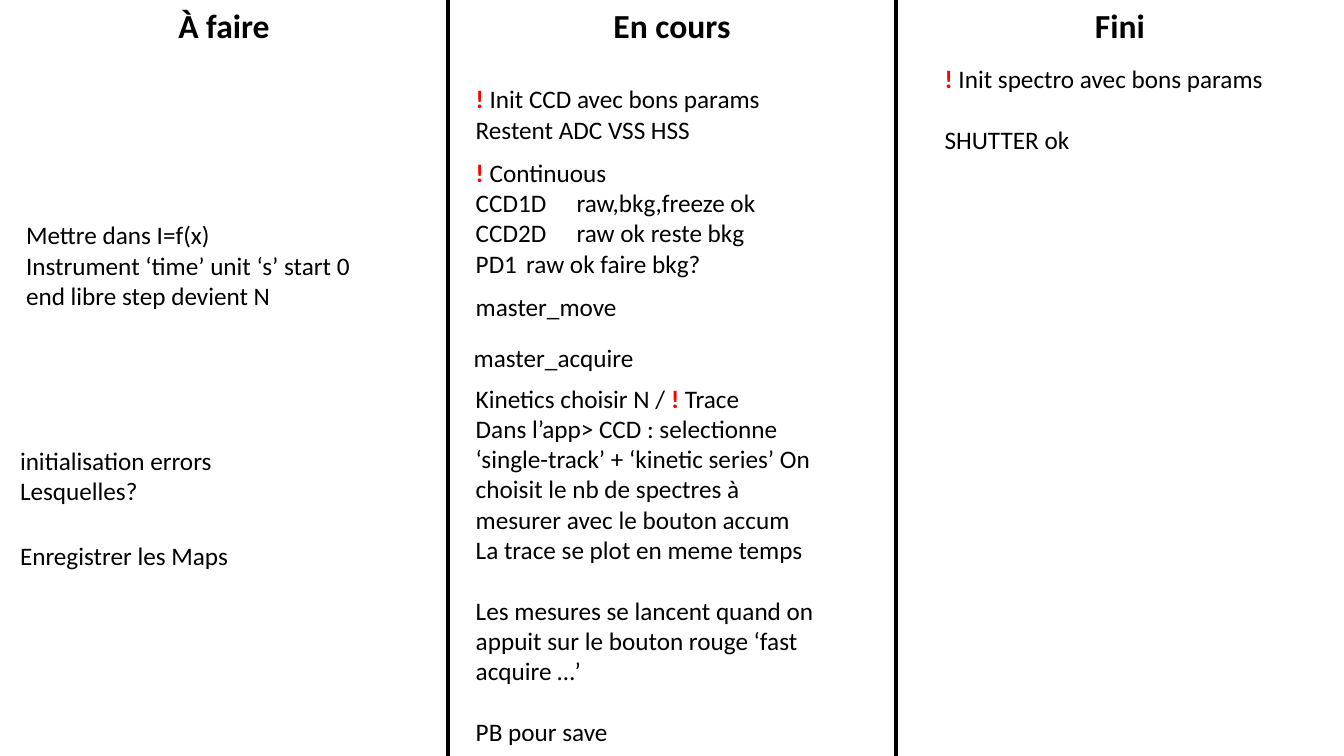
from dataclasses import dataclass

from lxml import etree
from pptx import Presentation
from pptx.dml.color import RGBColor
from pptx.enum.shapes import MSO_CONNECTOR
from pptx.enum.text import MSO_AUTO_SIZE, PP_ALIGN
from pptx.oxml.ns import qn
from pptx.slide import Slide
from pptx.util import Inches, Pt

STRAIGHT = MSO_CONNECTOR.STRAIGHT
GROW = MSO_AUTO_SIZE.SHAPE_TO_FIT_TEXT
LEFT, CENTER = PP_ALIGN.LEFT, PP_ALIGN.CENTER


@dataclass(frozen=True)
class Theme:
    font: str = "Calibri"
    ink: RGBColor = RGBColor(0, 0, 0)
    alert: RGBColor = RGBColor(255, 0, 0)
    head: int = 24
    body: int = 18
    rule: int = 3
    gap: int = 22


@dataclass(frozen=True)
class Span:
    text: str
    bold: bool = False
    color: RGBColor = Theme.ink


@dataclass(frozen=True)
class Line:
    spans: tuple[Span, ...]
    gap: bool = False


@dataclass(frozen=True)
class Note:
    left: float
    top: float
    width: float
    height: float
    lines: tuple[Line, ...]
    size: int = Theme.body
    align: PP_ALIGN = LEFT


THEME = Theme()
WIDTH, HEIGHT = 13.33, 7.5
HEADS = ("À faire", "En cours", "Fini")
COLUMN = WIDTH / len(HEADS)
MARK = Span("!", True, THEME.alert)


def plain(text: str, gap: bool = False) -> Line:
    return Line((Span(text),), gap)


def urgent(text: str) -> Line:
    return Line((MARK, Span(" " + text)))


TODO = (
    Note(0.16, 2.13, 3.69, 1.01, (
        plain("Mettre dans I=f(x)"),
        plain("Instrument ‘time’ unit ‘s’ start 0 end libre step devient N"),
    )),
    Note(0.1, 4.37, 2.52, 0.71, (
        plain("initialisation errors"),
        plain("Lesquelles?"),
    )),
    Note(0.1, 5.31, 2.52, 0.4, (plain("Enregistrer les Maps"),)),
)

DOING = (
    Note(4.62, 0.78, 3.04, 0.71, (
        urgent("Init CCD avec bons params"),
        plain("Restent ADC VSS HSS"),
    )),
    Note(4.62, 1.51, 3.69, 1.31, (
        urgent("Continuous"),
        plain("CCD1D\traw,bkg,freeze ok"),
        plain("CCD2D\traw ok reste bkg"),
        plain("PD1\traw ok faire bkg?"),
    )),
    Note(4.62, 2.84, 3.69, 0.4, (plain("master_move"),)),
    Note(4.6, 3.35, 3.69, 0.4, (plain("master_acquire"),)),
    Note(4.62, 3.75, 3.69, 4.04, (
        Line((Span("Kinetics choisir N / "), MARK, Span(" Trace"))),
        plain("Dans l’app> CCD : selectionne ‘single-track’ + ‘kinetic series’ "
              "On choisit le nb de spectres à mesurer avec le bouton accum"),
        plain("La trace se plot en meme temps"),
        plain("Les mesures se lancent quand on appuit sur le bouton rouge "
              "‘fast acquire …’", gap=True),
        plain("PB pour save", gap=True),
    )),
)

DONE = (
    Note(9.27, 0.58, 3.69, 1.31, (
        urgent("Init spectro avec bons params"),
        plain("SHUTTER ok", gap=True),
    )),
)


def draw_rule(slide: Slide, left: float) -> None:
    rule = slide.shapes.add_connector(
        STRAIGHT, Inches(left), Inches(0), Inches(left), Inches(HEIGHT))
    rule.line.color.rgb = THEME.ink
    rule.line.width = Pt(THEME.rule)
    etree.SubElement(rule._element.spPr, qn("a:effectLst"))


def draw_note(slide: Slide, note: Note) -> None:
    box = slide.shapes.add_textbox(
        Inches(note.left), Inches(note.top),
        Inches(note.width), Inches(note.height))
    frame = box.text_frame
    frame.word_wrap = True
    frame.auto_size = GROW
    for index, line in enumerate(note.lines):
        para = frame.add_paragraph() if index else frame.paragraphs[0]
        para.alignment = note.align
        if line.gap:
            para.space_before = Pt(THEME.gap)
        for span in line.spans:
            run = para.add_run()
            run.text = span.text
            run.font.name = THEME.font
            run.font.size = Pt(note.size)
            run.font.bold = span.bold
            run.font.color.rgb = span.color


def main() -> None:
    deck = Presentation()
    deck.slide_width, deck.slide_height = Inches(WIDTH), Inches(HEIGHT)
    slide = deck.slides.add_slide(deck.slide_layouts[6])
    for index, head in enumerate(HEADS):
        left = index * COLUMN
        if index:
            draw_rule(slide, left)
        title = Line((Span(head, True),))
        draw_note(slide, Note(
            left, 0, COLUMN, 0.5, (title,), THEME.head, CENTER))
    for note in TODO + DOING + DONE:
        draw_note(slide, note)
    deck.save("out.pptx")


if __name__ == "__main__":
    main()
